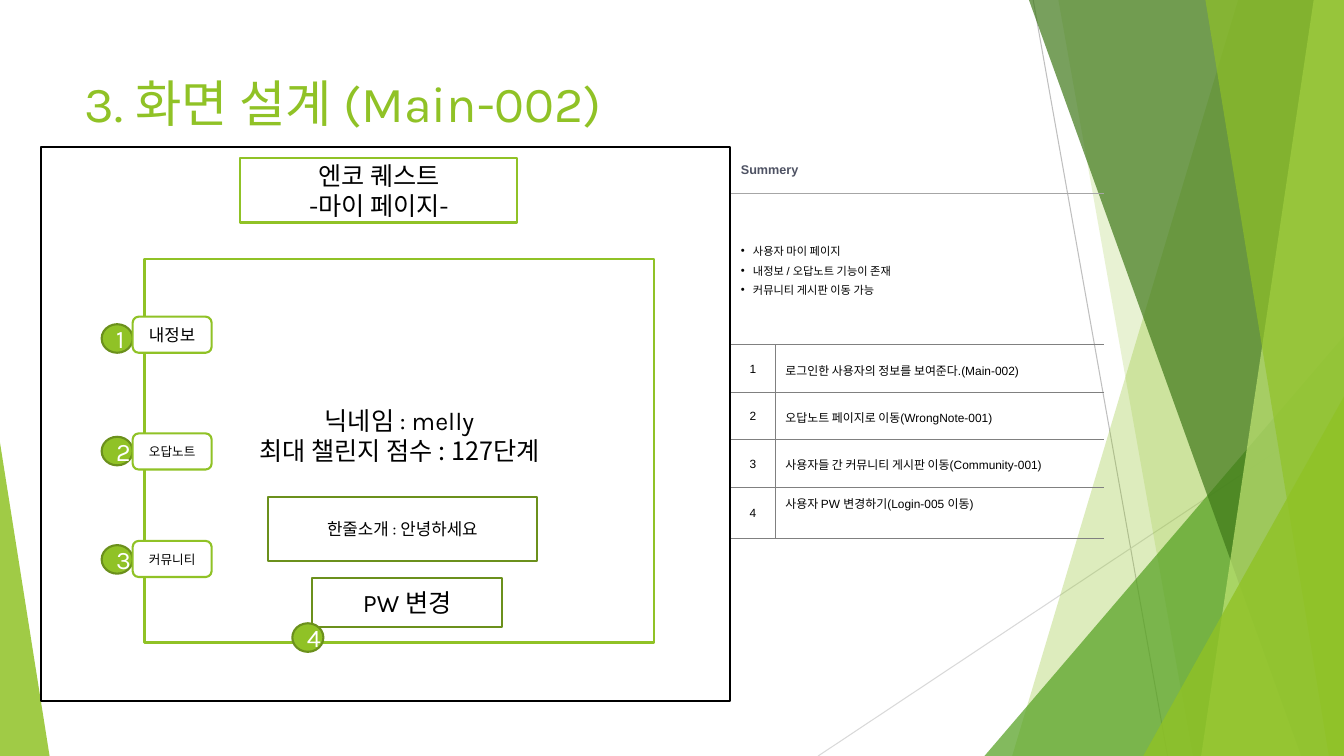
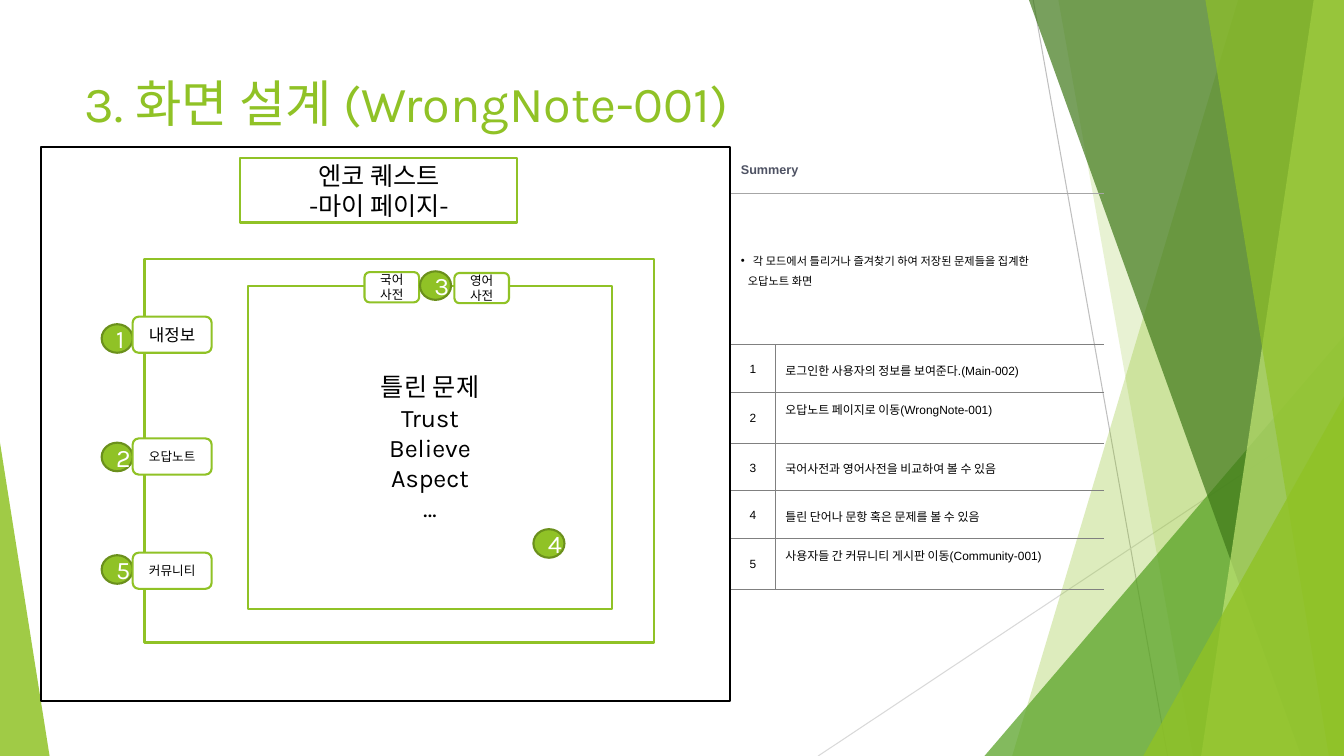
from dataclasses import dataclass
from typing import Any

from lxml import etree
from pptx import Presentation
from pptx.dml.color import RGBColor
from pptx.enum.shapes import MSO_CONNECTOR, MSO_SHAPE
from pptx.enum.text import MSO_ANCHOR, PP_ALIGN
from pptx.oxml.ns import qn
from pptx.util import Inches, Pt

RECT, ROUND, OVAL = MSO_SHAPE.RECTANGLE, MSO_SHAPE.ROUNDED_RECTANGLE, MSO_SHAPE.OVAL
TRIANGLE, STRAIGHT = MSO_SHAPE.ISOSCELES_TRIANGLE, MSO_CONNECTOR.STRAIGHT
TOP, MIDDLE = MSO_ANCHOR.TOP, MSO_ANCHOR.MIDDLE
LEFT, CENTER, JUSTIFY = PP_ALIGN.LEFT, PP_ALIGN.CENTER, PP_ALIGN.JUSTIFY

COLUMNS, ROWS = 160, 90
CELL = Inches(1) // 12
BADGE_WIDTH, BADGE_HEIGHT = 3.7, 3.4
MENU_COLUMN, MENU_WIDTH, MENU_HEIGHT = 15.8, 9.4, 4.3
BADGE_COLUMN = 12.1
CHIP_WIDTH, CHIP_HEIGHT = 6.5, 3.6
TABLE_COLUMN, TABLE_ROW = 87, 17.5
TABLE_WIDTHS = (5.3, 39.1)
HEADING_HEIGHT, SUMMARY_HEIGHT, NOTE_HEIGHT, TALL_NOTE_HEIGHT = 5.5, 18, 5.65, 6.1
PLAIN_TABLE = "{2D5ABB26-0587-4C30-8999-92F81FD0307C}"


@dataclass(frozen=True)
class Theme:
    lime: str = "90C226"
    olive: str = "6B901C"
    leaf: str = "54A021"
    forest: str = "3F7819"
    pale: str = "C0E474"
    white: str = "FFFFFF"
    black: str = "000000"
    slate: str = "4E5263"
    rule: str = "808080"
    heading_rule: str = "A6A6A6"
    ray: str = "BFBFBF"
    faint_ray: str = "D9D9D9"
    latin: str = "Karla"
    korean: str = "Noto Sans CJK KR"
    table_font: str = "Arial"
    title: float = 36
    body: float = 18
    label: float = 12
    small: float = 9
    note: float = 8.5
    summary: float = 8
    outline: float = 1.5
    hairline: float = 0.25


THEME = Theme()


@dataclass(frozen=True)
class Facet:
    top_column: float
    bottom_column: float
    color: str
    opacity: int


@dataclass(frozen=True)
class Wedge:
    column: float
    row: float
    width: float
    apex: float
    color: str
    opacity: int


@dataclass(frozen=True)
class Box:
    column: float
    row: float
    width: float
    height: float
    lines: tuple[str, ...] = ()
    size: float = THEME.body
    outline: str = THEME.lime
    kind: Any = RECT
    fill: str = THEME.white
    ink: str = THEME.black
    fonts: tuple[str, ...] = (THEME.latin,)
    lift: float = 0


@dataclass(frozen=True)
class MenuItem:
    number: str
    label: str
    size: float
    row: float
    badge_row: float


@dataclass(frozen=True)
class Point:
    text: str
    bulleted: bool = True


@dataclass(frozen=True)
class Note:
    text: str
    tall: bool = False


@dataclass(frozen=True)
class Page:
    title: str
    summary: tuple[Point, ...]
    notes: tuple[Note, ...]
    menu: tuple[MenuItem, ...]
    content: tuple[Box, ...]


def badge(number: str, column: float, row: float) -> Box:
    return Box(column, row, BADGE_WIDTH, BADGE_HEIGHT, (number,), outline=THEME.olive,
               kind=OVAL, fill=THEME.lime, ink=THEME.white)


def chip(label: str, column: float, row: float) -> Box:
    return Box(column, row, CHIP_WIDTH, CHIP_HEIGHT, (label,), THEME.small, kind=ROUND)


FACETS = (
    Facet(147.4, 120.5, THEME.lime, 30),
    Facet(126, 142, THEME.lime, 20),
    Wedge(117.2, 40, 42.8, 1, THEME.leaf, 72),
    Facet(122.5, 154.9, THEME.forest, 70),
    Facet(156.4, 143, THEME.pale, 70),
    Facet(143.5, 158.2, THEME.lime, 65),
    Wedge(136.1, 47.2, 23.9, 1, THEME.lime, 80),
    Wedge(0, 52.7, 5.9, 0, THEME.lime, 85),
)
RAYS = ((123, 0, 139, ROWS, THEME.ray), (COLUMNS, 48.4, 97.4, ROWS, THEME.faint_ray))
SCREEN = Box(4.9, 17.5, 82, 66, outline=THEME.black)
SCREEN_HEADER = Box(28.6, 18.8, 33, 7.7, ("엔코 퀘스트", "-마이 페이지-"))
PANEL = (17.2, 30.8, 60.7, 45.7)
MY_INFO_NOTE = Note("로그인한 사용자의 정보를 보여준다.(Main-002)")
WRONG_NOTE_LINK = "오답노트 페이지로 이동(WrongNote-001)"
COMMUNITY_LINK = "사용자들 간 커뮤니티 게시판 이동(Community-001)"
MY_INFO = MenuItem("1", "내정보", THEME.label, 37.7, 38.6)

PAGES = (
    Page(
        "3. 화면 설계 (Main-002)",
        (Point("사용자 마이 페이지"), Point("내정보 / 오답노트 기능이 존재"),
         Point("커뮤니티 게시판 이동 가능")),
        (MY_INFO_NOTE, Note(WRONG_NOTE_LINK), Note(COMMUNITY_LINK),
         Note("사용자 PW 변경하기(Login-005 이동)", tall=True)),
        (MY_INFO, MenuItem("2", "오답노트", THEME.small, 51.6, 52),
         MenuItem("3", "커뮤니티", THEME.small, 64.4, 64.9)),
        (Box(*PANEL, ("닉네임 : melly", "최대 챌린지 점수 : 127단계"),
             fonts=(THEME.latin, THEME.korean), lift=3.6),
         Box(31.9, 59.2, 32, 7.6, ("한줄소개 : 안녕하세요",), THEME.label, THEME.olive),
         Box(37.2, 68.8, 22.6, 5.8, ("PW 변경",), outline=THEME.olive),
         badge("4", 34.8, 74.2)),
    ),
    Page(
        "3. 화면 설계 (WrongNote-001)",
        (Point("각 모드에서 틀리거나 즐겨찾기 하여 저장된 문제들을 집계한"),
         Point("오답노트 화면", bulleted=False)),
        (MY_INFO_NOTE, Note(WRONG_NOTE_LINK, tall=True),
         Note("국어사전과 영어사전을 비교하여 볼 수 있음"),
         Note("틀린 단어나 문항 혹은 문제를 볼 수 있음"), Note(COMMUNITY_LINK, tall=True)),
        (MY_INFO, MenuItem("2", "오답노트", THEME.small, 52.2, 52.7),
         MenuItem("5", "커뮤니티", THEME.small, 65.8, 66.1)),
        (Box(*PANEL),
         Box(29.5, 34, 43.4, 38.5, ("틀린 문제", "Trust", "Believe", "Aspect", "…")),
         chip("영어 사전", 54.1, 32.5), chip("국어 사전", 43.4, 32.4),
         badge("3", 50, 32.3), badge("4", 63.5, 63)),
    ),
)


def grid(*cells: float) -> list[int]:
    return [round(cell * CELL) for cell in cells]


def set_formats(target: Any, formats: dict[str, Any]) -> None:
    for attribute, value in formats.items():
        setattr(target, attribute, value)


def paint(shape: Any, color: str, opacity: int = 100) -> None:
    shape.shadow.inherit = False
    shape.fill.solid()
    shape.fill.fore_color.rgb = RGBColor.from_string(color)
    if opacity < 100:
        srgb = shape.fill._xPr.find(qn("a:solidFill"))[0]
        etree.SubElement(srgb, qn("a:alpha"), val=str(opacity * 1000))


def write(paragraph: Any, text: str, size: float, color: str, font: str,
          align: Any = CENTER, spacing: float = 1, bold: bool = False) -> None:
    set_formats(paragraph, {"alignment": align, "line_spacing": spacing})
    run = paragraph.add_run()
    run.text = text
    set_formats(run.font, {"size": Pt(size), "name": font, "bold": bold})
    run.font.color.rgb = RGBColor.from_string(color)
    etree.SubElement(run._r.get_or_add_rPr(), qn("a:ea"), typeface=THEME.korean)


def paragraph_at(frame: Any, index: int) -> Any:
    return frame.paragraphs[0] if index == 0 else frame.add_paragraph()


def draw_backdrop(slide: Any) -> None:
    for start_column, start_row, end_column, end_row, color in RAYS:
        ray = slide.shapes.add_connector(
            STRAIGHT, *grid(start_column, start_row, end_column, end_row))
        ray.line.color.rgb = RGBColor.from_string(color)
        ray.line.width = Pt(0.75)
        etree.SubElement(ray._element.spPr, qn("a:effectLst"))
    for part in FACETS:
        if isinstance(part, Wedge):
            shape = slide.shapes.add_shape(
                TRIANGLE, *grid(part.column, part.row, part.width, ROWS - part.row))
            shape.adjustments[0] = part.apex
        else:
            outline = slide.shapes.build_freeform(*grid(part.top_column, 0))
            outline.add_line_segments(
                [grid(COLUMNS, 0), grid(COLUMNS, ROWS), grid(part.bottom_column, ROWS)])
            shape = outline.convert_to_shape()
        paint(shape, part.color, part.opacity)
        shape.line.fill.background()


def draw_title(slide: Any, title: str) -> None:
    frame = slide.shapes.add_textbox(*grid(8.9, 8, 112.8, 17.3)).text_frame
    set_formats(frame, {"word_wrap": True, "vertical_anchor": TOP})
    write(frame.paragraphs[0], title, THEME.title, THEME.lime, THEME.latin, LEFT)


def draw_box(slide: Any, box: Box) -> None:
    shape = slide.shapes.add_shape(box.kind, *grid(box.column, box.row, box.width, box.height))
    paint(shape, box.fill)
    shape.line.color.rgb = RGBColor.from_string(box.outline)
    shape.line.width = Pt(THEME.outline)
    frame = shape.text_frame
    set_formats(frame, {"word_wrap": True, "vertical_anchor": MIDDLE,
                        "margin_bottom": Inches(0.05) + grid(box.lift)[0]})
    for index, line in enumerate(box.lines):
        font = box.fonts[min(index, len(box.fonts) - 1)]
        write(paragraph_at(frame, index), line, box.size, box.ink, font)


def draw_menu(slide: Any, menu: tuple[MenuItem, ...]) -> None:
    for item in menu:
        draw_box(slide, badge(item.number, BADGE_COLUMN, item.badge_row))
        draw_box(slide, Box(MENU_COLUMN, item.row, MENU_WIDTH, MENU_HEIGHT,
                            (item.label,), item.size, kind=ROUND))


def style_cell(cell: Any, sides: tuple[str, ...], color: str) -> None:
    properties = cell._tc.get_or_add_tcPr()
    for side in sides:
        border = etree.SubElement(properties, qn(f"a:{side}"), w=str(Pt(THEME.hairline)))
        fill = etree.SubElement(border, qn("a:solidFill"))
        etree.SubElement(fill, qn("a:srgbClr"), val=color)
    cell.fill.background()
    cell.vertical_anchor = MIDDLE


def write_summary(frame: Any, points: tuple[Point, ...]) -> None:
    for index, point in enumerate(points):
        paragraph = paragraph_at(frame, index)
        write(paragraph, point.text, THEME.summary, THEME.black, THEME.table_font, JUSTIFY, 1.2)
        properties = paragraph._p.get_or_add_pPr()
        properties.set("marL", str(Inches(0.12 if point.bulleted else 0.07)))
        if point.bulleted:
            properties.set("indent", str(-Inches(0.12)))
            etree.SubElement(properties, qn("a:buFont"), typeface=THEME.table_font)
            etree.SubElement(properties, qn("a:buChar"), char="•")


def draw_description(slide: Any, page: Page) -> None:
    heights = [HEADING_HEIGHT, SUMMARY_HEIGHT]
    heights += [TALL_NOTE_HEIGHT if note.tall else NOTE_HEIGHT for note in page.notes]
    table = slide.shapes.add_table(
        len(heights), len(TABLE_WIDTHS),
        *grid(TABLE_COLUMN, TABLE_ROW, sum(TABLE_WIDTHS), sum(heights))).table
    set_formats(table, {"first_row": False, "horz_banding": False})
    table._tbl.tblPr.find(qn("a:tableStyleId")).text = PLAIN_TABLE
    for column, width in zip(table.columns, grid(*TABLE_WIDTHS)):
        column.width = width
    for index, height in enumerate(grid(*heights)):
        table.rows[index].height = height
        color = THEME.heading_rule if index == 0 else THEME.rule
        style_cell(table.cell(index, 0), ("lnR", "lnB") if index > 1 else ("lnB",), color)
        style_cell(table.cell(index, 1), ("lnB",), color)
    for index in range(2):
        table.cell(index, 0).merge(table.cell(index, 1))
    write(table.cell(0, 0).text_frame.paragraphs[0], "Summery", THEME.small,
          THEME.slate, THEME.table_font, LEFT, bold=True)
    write_summary(table.cell(1, 0).text_frame, page.summary)
    for number, note in enumerate(page.notes, 1):
        for column, (text, align) in enumerate(((str(number), CENTER), (note.text, JUSTIFY))):
            write(table.cell(number + 1, column).text_frame.paragraphs[0], text,
                  THEME.note, THEME.black, THEME.table_font, align, 1.2)
        if note.tall:
            table.cell(number + 1, 1).vertical_anchor = TOP


def draw_page(slide: Any, page: Page) -> None:
    draw_backdrop(slide)
    draw_title(slide, page.title)
    draw_box(slide, SCREEN)
    draw_description(slide, page)
    draw_box(slide, SCREEN_HEADER)
    panel, *details = page.content
    draw_box(slide, panel)
    draw_menu(slide, page.menu)
    for detail in details:
        draw_box(slide, detail)


def main() -> None:
    deck = Presentation()
    set_formats(deck, {"slide_width": COLUMNS * CELL, "slide_height": ROWS * CELL})
    for page in PAGES:
        draw_page(deck.slides.add_slide(deck.slide_layouts[6]), page)
    deck.save("out.pptx")


if __name__ == "__main__":
    main()
